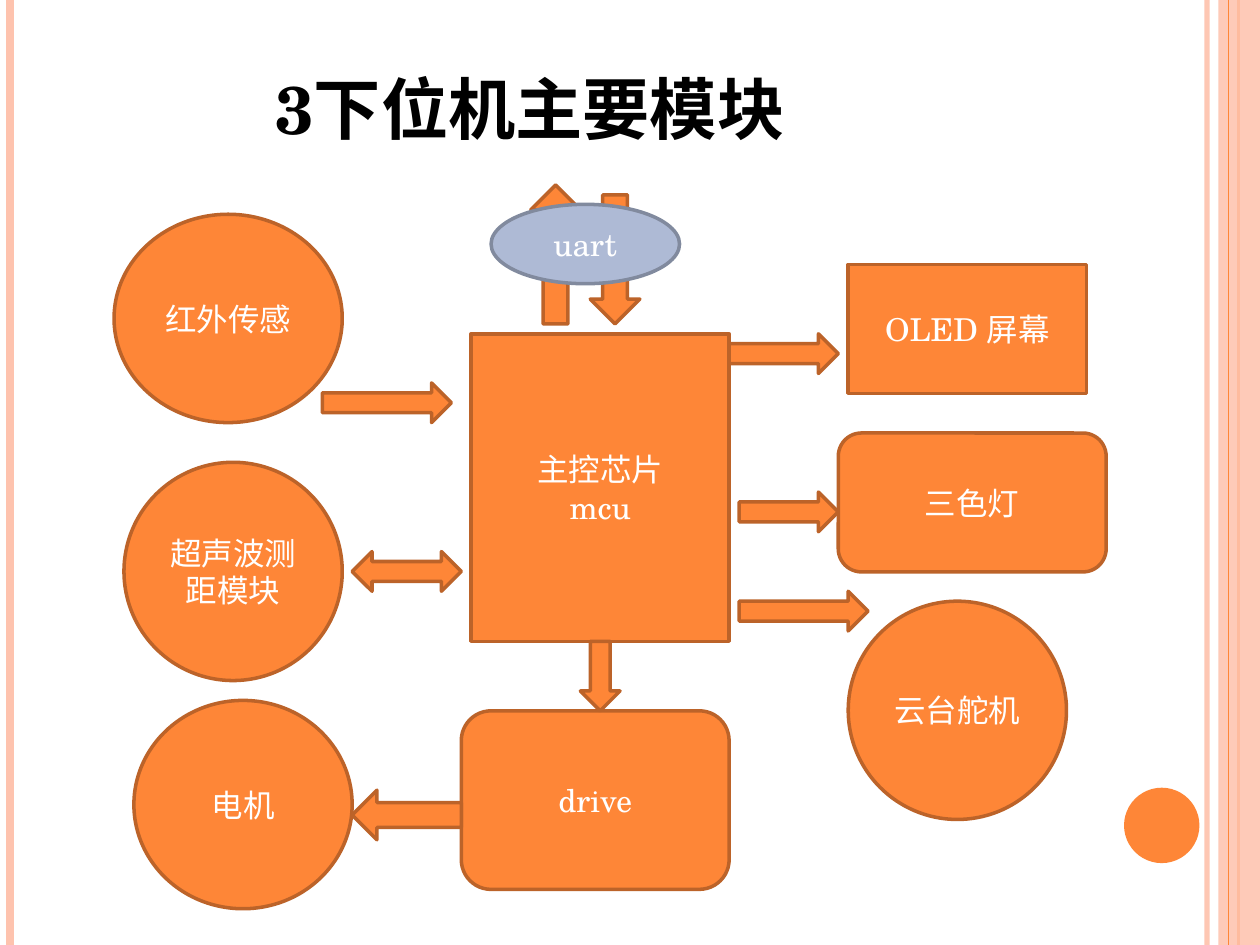
import pptx
import pptx.util
import pptx.dml.color
import pptx.enum.shapes
import pptx.enum.text
import lxml.etree as etree
from pptx.oxml.ns import qn

Cm, Pt = pptx.util.Cm, pptx.util.Pt
Kind = pptx.enum.shapes.MSO_SHAPE
Anchor = pptx.enum.text.MSO_ANCHOR
Align = pptx.enum.text.PP_ALIGN

FONT = "TeX Gyre Schola"
ORANGE, BROWN, PEACH = "FE8637", "BC6329", "FEC3AE"
BLUE, SLATE, WHITE, BLACK = "AEBAD5", "818A9E", "FFFFFF", "000000"
WIDE, HIGH = 25.4, 19.05


def tint(color, code):
    color.rgb = pptx.dml.color.RGBColor.from_string(code)


def fade(part, share):
    """Set the opacity, in percent, of the one solid colour inside part."""
    color = next(part.iter(qn("a:srgbClr")))
    etree.SubElement(color, qn("a:alpha")).set("val", str(share * 1000))


class Deck:
    def __init__(self):
        self.show = pptx.Presentation()
        self.show.slide_width, self.show.slide_height = Cm(WIDE), Cm(HIGH)
        self.slide = self.show.slides.add_slide(self.show.slide_layouts[6])

    def stripe(self, x, width, code, share=100):
        """Draw a vertical rule over the full height."""
        line = self.slide.shapes.add_connector(
            pptx.enum.shapes.MSO_CONNECTOR.STRAIGHT, Cm(x), 0, Cm(x), Cm(HIGH))
        line.line.width = Pt(width)
        tint(line.line.color, code)
        props = line._element.spPr
        etree.SubElement(props, qn("a:effectLst"))
        if share < 100:
            fade(props, share)

    def shape(self, kind, x, y, w, h, fill=ORANGE, edge=BROWN):
        item = self.slide.shapes.add_shape(kind, Cm(x), Cm(y), Cm(w), Cm(h))
        item.shadow.inherit = False
        item.fill.solid()
        tint(item.fill.fore_color, fill)
        if edge:
            item.line.width = Pt(2)
            tint(item.line.color, edge)
        else:
            item.line.fill.background()
        return item

    def run(self, para, text, size, code):
        run = para.add_run()
        run.text = text
        run.font.size, run.font.name = Pt(size), FONT
        tint(run.font.color, code)
        return run

    def node(self, kind, x, y, w, h, *lines, fill=ORANGE, edge=BROWN):
        """Draw a shape with centred lines of text."""
        frame = self.shape(kind, x, y, w, h, fill, edge).text_frame
        frame.word_wrap = True
        frame.vertical_anchor = Anchor.MIDDLE
        for i, text in enumerate(lines):
            para = frame.add_paragraph() if i else frame.paragraphs[0]
            para.alignment = Align.CENTER
            self.run(para, text, 18, WHITE)

    def title(self, x, y, w, h, text):
        box = self.slide.shapes.add_textbox(Cm(x), Cm(y), Cm(w), Cm(h))
        frame = box.text_frame
        frame.word_wrap = True
        frame.vertical_anchor = Anchor.BOTTOM
        run = self.run(frame.paragraphs[0], text, 48, BLACK)
        run.font.bold = True
        run._r.get_or_add_rPr().set("cap", "small")


def main():
    deck = Deck()

    # Page frame
    deck.stripe(24.33, 3, PEACH, 93)
    deck.stripe(0.2, 4.5, PEACH)
    deck.stripe(24.97, 1.5, ORANGE)
    band = deck.shape(Kind.RECTANGLE, 24.56, 0, 0.84, HIGH, PEACH, None)
    fade(band._element.spPr, 87)
    deck.stripe(24.77, 0.75, ORANGE)
    deck.shape(Kind.OVAL, 22.66, 15.88, 1.52, 1.52, ORANGE, None)

    deck.title(5.3, 0, 16, 3.18, "3下位机主要模块")

    # Modules
    for node in (
        (Kind.RECTANGLE, 17.1, 5.33, 4.8, 2.6, "OLED 屏幕"),
        (Kind.OVAL, 2.7, 14.12, 4.4, 4.2, "电机"),
        (Kind.ROUNDED_RECTANGLE, 9.3, 14.33, 5.4, 3.6, "drive"),
        (Kind.OVAL, 2.5, 9.32, 4.4, 4.4, "超声波测距模块"),
        (Kind.ROUNDED_RECTANGLE, 16.9, 8.73, 5.4, 2.8, "三色灯"),
        (Kind.OVAL, 17.1, 12.12, 4.4, 4.4, "云台舵机"),
        (Kind.RECTANGLE, 9.5, 6.73, 5.2, 6.2, "主控芯片", "mcu"),
        (Kind.OVAL, 2.3, 4.32, 4.6, 4.2, "红外传感"),
    ):
        deck.node(*node)

    # Serial link, over its two arrows
    deck.shape(Kind.UP_ARROW, 10.7, 3.73, 1, 2.8)
    deck.shape(Kind.DOWN_ARROW, 11.9, 3.93, 1, 2.6)
    deck.node(Kind.OVAL, 9.9, 4.12, 3.8, 1.6, "uart", fill=BLUE, edge=SLATE)

    # Arrows between modules
    for arrow in (
        (Kind.RIGHT_ARROW, 6.5, 7.72, 2.6, 0.8),
        (Kind.LEFT_RIGHT_ARROW, 7.1, 11.12, 2.2, 0.8),
        (Kind.RIGHT_ARROW, 14.9, 9.92, 2, 0.8),
        (Kind.RIGHT_ARROW, 14.7, 6.73, 2.2, 0.8),
        (Kind.RIGHT_ARROW, 14.9, 11.92, 2.6, 0.8),
        (Kind.DOWN_ARROW, 11.7, 12.93, 0.8, 1.4),
        (Kind.LEFT_ARROW, 7.1, 15.93, 2.2, 1),
    ):
        deck.shape(*arrow)

    deck.show.save("out.pptx")


if __name__ == "__main__":
    main()
